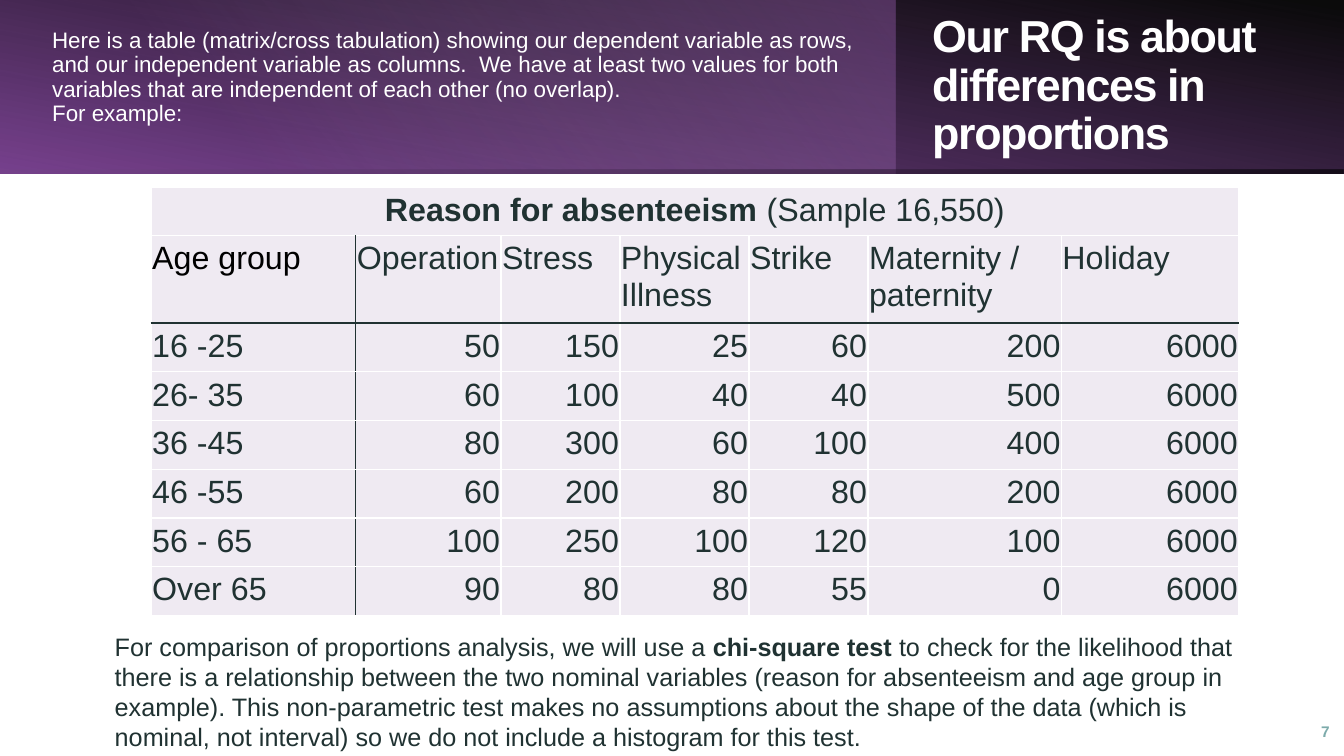
from lxml.etree import SubElement as Sub
from pptx import Presentation
from pptx.dml.color import RGBColor as RGB
from pptx.enum.shapes import MSO_SHAPE as SHAPE
from pptx.enum.text import MSO_ANCHOR as ANCHOR, PP_ALIGN as ALIGN
from pptx.oxml.ns import qn
from pptx.util import Pt

INK = {"white": "FFFFFF", "black": "000000", "text": "203232", "cell": "EFEAF2",
       "plum": "77418E", "violet": "9C5FB5", "lilac": "C49FD3", "number": "7DABAB"}

HEADS = ["Age group", "Operation", "Stress", "Physical Illness", "Strike",
         "Maternity /\npaternity", "Holiday"]
COUNTS = [
    ("16 -25", 50, 150, 25, 60, 200, 6000),
    ("26- 35", 60, 100, 40, 40, 500, 6000),
    ("36 -45", 80, 300, 60, 100, 400, 6000),
    ("46 -55", 60, 200, 80, 80, 200, 6000),
    ("56 - 65", 100, 250, 100, 120, 100, 6000),
    ("Over 65", 90, 80, 80, 55, 0, 6000),
]
WIDTHS = [146.2, 103.7, 85, 92.2, 85, 138.2, 126.7]
HIGH, LOW = 62, 34.7


def band(slide, width, stops, angle, flip=False, turn=0):
    """Header strip with a gradient of (position, colour, opacity) stops."""
    strip = slide.shapes.add_shape(SHAPE.RECTANGLE, 0, 0, Pt(width), Pt(124))
    strip.shadow.inherit = False
    strip.line.fill.background()
    strip.rotation = turn
    props = strip._element.spPr
    if flip:
        props.find(qn("a:xfrm")).set("flipH", "1")
    grad = props.makeelement(qn("a:gradFill"), {})
    props.find(qn("a:prstGeom")).addnext(grad)
    marks = Sub(grad, qn("a:gsLst"))
    for pos, name, clear in stops:
        stop = Sub(marks, qn("a:gs"), pos=str(pos * 1000))
        tint = Sub(stop, qn("a:srgbClr"), val=INK[name])
        Sub(tint, qn("a:alpha"), val=str(clear * 1000))
    Sub(grad, qn("a:lin"), ang=str(angle * 60000), scaled="0")


def write(par, text, size, color, bold=False, track=0):
    run = par.add_run()
    run.text = text
    font = run.font
    font.name, font.size, font.bold = "Arial", Pt(size), bold
    font.color.rgb = RGB.from_string(INK[color])
    if track:
        run._r.get_or_add_rPr().set("spc", str(track * 100))


def text_box(slide, left, top, width, height, anchor=ANCHOR.MIDDLE):
    frame = slide.shapes.add_textbox(Pt(left), Pt(top), Pt(width), Pt(height)).text_frame
    frame.word_wrap = True
    frame.vertical_anchor = anchor
    return frame


def add_par(frame, first):
    return frame.paragraphs[0] if first else frame.add_paragraph()


def style(cell, row, col):
    """Set fill, insets and borders, dark only around the headings."""
    cell.margin_left = cell.margin_right = Pt(0.72)
    cell.margin_top = cell.margin_bottom = Pt(3.6)
    dark = {"lnL": row > 0 and col == 1, "lnR": row > 0 and col == 0,
            "lnT": row == 2, "lnB": row == 1}
    props = cell._tc.get_or_add_tcPr()
    for side, is_dark in dark.items():
        line = Sub(props, qn("a:" + side), w=str(Pt(0.96)))
        fill = Sub(line, qn("a:solidFill"))
        Sub(fill, qn("a:srgbClr"), val=INK["text" if is_dark else "white"])
    cell.fill.solid()
    cell.fill.fore_color.rgb = RGB.from_string(INK["cell"])


def add_grid(slide):
    rows = [HEADS] + COUNTS
    frame = slide.shapes.add_table(len(rows) + 1, len(HEADS), Pt(108), Pt(133.5),
                                   Pt(sum(WIDTHS)), Pt(HIGH + LOW * len(rows)))
    grid = frame.table
    grid.first_row = grid.horz_banding = False
    for col, width in zip(grid.columns, WIDTHS):
        col.width = Pt(width)
    for num, row in enumerate(grid.rows):
        row.height = Pt(HIGH if num == 1 else LOW)
        for col, cell in enumerate(row.cells):
            style(cell, num, col)
    title = grid.cell(0, 0)
    title.merge(grid.cell(0, len(HEADS) - 1))
    par = title.text_frame.paragraphs[0]
    par.alignment = ALIGN.CENTER
    write(par, "Reason for absenteeism ", 23, "text", True)
    write(par, "(Sample 16,550)", 23, "text")
    for num, row in enumerate(rows, 1):
        for col, value in enumerate(row):
            frame = grid.cell(num, col).text_frame
            for part, line in enumerate(str(value).split("\n")):
                par = add_par(frame, part == 0)
                par.alignment = ALIGN.RIGHT if num > 1 and col else ALIGN.LEFT
                write(par, line, 23, "black" if (num, col) == (1, 0) else "text")


def add_intro(slide):
    frame = text_box(slide, 30.2, 9.4, 593.3, 108.7)
    frame.margin_bottom = Pt(20)
    lines = ["Here is a table (matrix/cross tabulation) showing our dependent variable as "
             "rows, and our independent variable as columns.  We have at least two values "
             "for both variables that are independent of each other (no overlap).",
             "For example:"]
    for num, line in enumerate(lines):
        par = add_par(frame, num == 0)
        par.line_spacing = 0.9
        write(par, line, 16, "white")


def add_title(slide):
    par = text_box(slide, 658.8, 27.4, 254.9, 69.1).paragraphs[0]
    par.line_spacing = 0.9
    par.space_before, par.space_after = Pt(10), Pt(9.9)
    write(par, "Our RQ is about differences in proportions", 32, "white", True, -1)


def add_note(slide):
    par = text_box(slide, 74.9, 447.1, 838.1, 93.6, ANCHOR.TOP).paragraphs[0]
    write(par, "For comparison of proportions analysis, we will use a ", 18, "text")
    write(par, "chi-square test ", 18, "text", True)
    write(par, "to check for the likelihood that there is a relationship between the two "
          "nominal variables (reason for absenteeism and age group in example). This "
          "non-parametric test makes no assumptions about the shape of the data (which is "
          "nominal, not interval) so we do not include a histogram for this test.",
          18, "text")


def add_number(slide):
    par = text_box(slide, 921.6, 508.3, 35.3, 28.8).paragraphs[0]
    par.alignment = ALIGN.RIGHT
    par.space_after = Pt(6)
    write(par, "7", 11, "number", True)


def main():
    deck = Presentation()
    deck.slide_width, deck.slide_height = Pt(960), Pt(540)
    slide = deck.slides.add_slide(deck.slide_layouts[6])
    band(slide, 960, [(0, "black", 96), (100, "plum", 100)], 260, True, 180)
    band(slide, 640, [(26, "lilac", 0), (100, "violet", 41)], 320)
    band(slide, 960, [(22, "violet", 15), (100, "black", 63)], 100, True)
    add_intro(slide)
    add_title(slide)
    add_number(slide)
    add_grid(slide)
    add_note(slide)
    deck.save("out.pptx")


if __name__ == "__main__":
    main()
